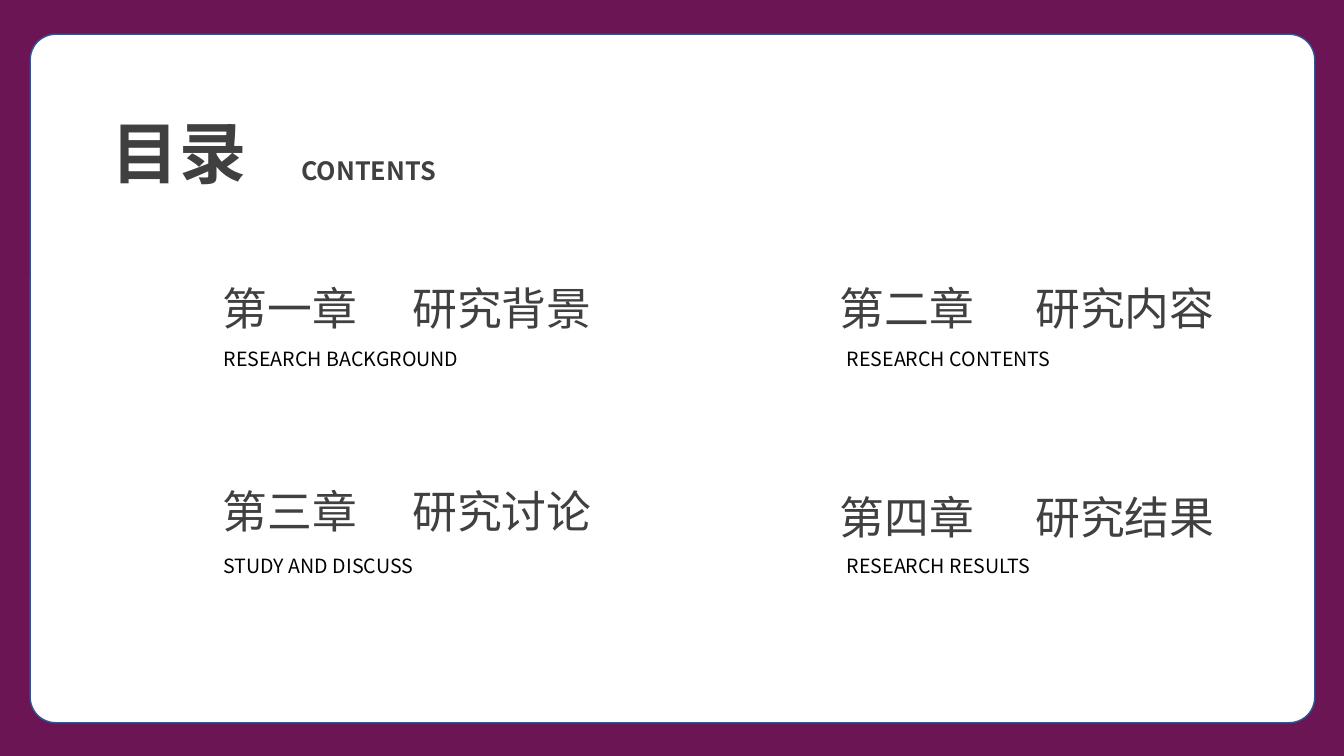
"""Builds a contents slide with four chapters on a framed card."""
import pptx
import pptx.util
import pptx.dml.color
import pptx.enum.shapes
import pptx.enum.text
import pptx.oxml.ns
import lxml.etree

Inches = pptx.util.Inches
RGBColor = pptx.dml.color.RGBColor
Shape = pptx.enum.shapes.MSO_SHAPE
Align = pptx.enum.text.PP_ALIGN

PLUM = RGBColor(0x6B, 0x15, 0x54)
WHITE = RGBColor(0xFF, 0xFF, 0xFF)
BLUE = RGBColor(0x32, 0x54, 0x91)
GRAY = RGBColor(0x40, 0x40, 0x40)
BLACK = RGBColor(0, 0, 0)
FONT = "Noto Sans CJK SC"


def write(box, text, size, color, bold=False, wrap=True, align=Align.JUSTIFY):
    frame = box.text_frame
    frame.word_wrap = wrap
    frame.auto_size = pptx.enum.text.MSO_AUTO_SIZE.SHAPE_TO_FIT_TEXT
    frame.vertical_anchor = pptx.enum.text.MSO_ANCHOR.TOP
    para = frame.paragraphs[0]
    para.alignment = align
    run = para.add_run()
    run.text = text
    run.font.size = pptx.util.Pt(size)
    run.font.bold = bold
    run.font.color.rgb = color
    run.font.name = FONT
    props = run._r.get_or_add_rPr()
    lxml.etree.SubElement(props, pptx.oxml.ns.qn("a:ea"), typeface=FONT)


def label(left, top, width, height, *args, **style):
    box = slide.shapes.add_textbox(
        Inches(left), Inches(top), Inches(width), Inches(height))
    write(box, *args, **style)


deck = pptx.Presentation()
deck.slide_width = Inches(13.33)
deck.slide_height = Inches(7.5)
slide = deck.slides.add_slide(deck.slide_layouts[5])

frame = slide.shapes.add_shape(
    Shape.RECTANGLE, 0, 0, deck.slide_width, deck.slide_height)
frame.shadow.inherit = False
frame.fill.solid()
frame.fill.fore_color.rgb = PLUM
frame.line.fill.background()

card = slide.shapes.add_shape(
    Shape.ROUNDED_RECTANGLE, Inches(0.3), Inches(0.34), Inches(12.74), Inches(6.83))
card.adjustments[0] = 0.037
card.shadow.inherit = False
card.fill.solid()
card.fill.fore_color.rgb = WHITE
card.line.color.rgb = BLUE
card.line.width = pptx.util.Pt(1)

title = slide.shapes.title
title.left, title.top = Inches(1.01), Inches(1.05)
title.width, title.height = Inches(1.87), Inches(0.91)
write(title, "目录", 48, GRAY, bold=True)
slide.shapes.element.append(title.element)
label(2.89, 1.49, 2, 0.4, "CONTENTS", 18, GRAY, bold=True)

chapters = [
    (2.11, 3.99, 2.12, 2.74, 3.39, "第一章", "研究背景", "RESEARCH BACKGROUND"),
    (8.23, 10.17, 8.3, 2.74, 3.39, "第二章", "研究内容", "RESEARCH CONTENTS"),
    (2.11, 3.99, 2.12, 4.75, 5.45, "第三章", "研究讨论", "STUDY AND DISCUSS"),
    (8.23, 10.17, 8.3, 4.81, 5.45, "第四章", "研究结果", "RESEARCH RESULTS"),
]
for left, mid, indent, top, low, number, name, english in chapters:
    label(left, top, 1.55, 0.64, number, 32, GRAY, wrap=False, align=Align.LEFT)
    label(mid, top, 2, 0.64, name, 32, GRAY, wrap=False, align=Align.LEFT)
    label(indent, low, 3.75, 0.34, english, 14, BLACK)

deck.save("out.pptx")
